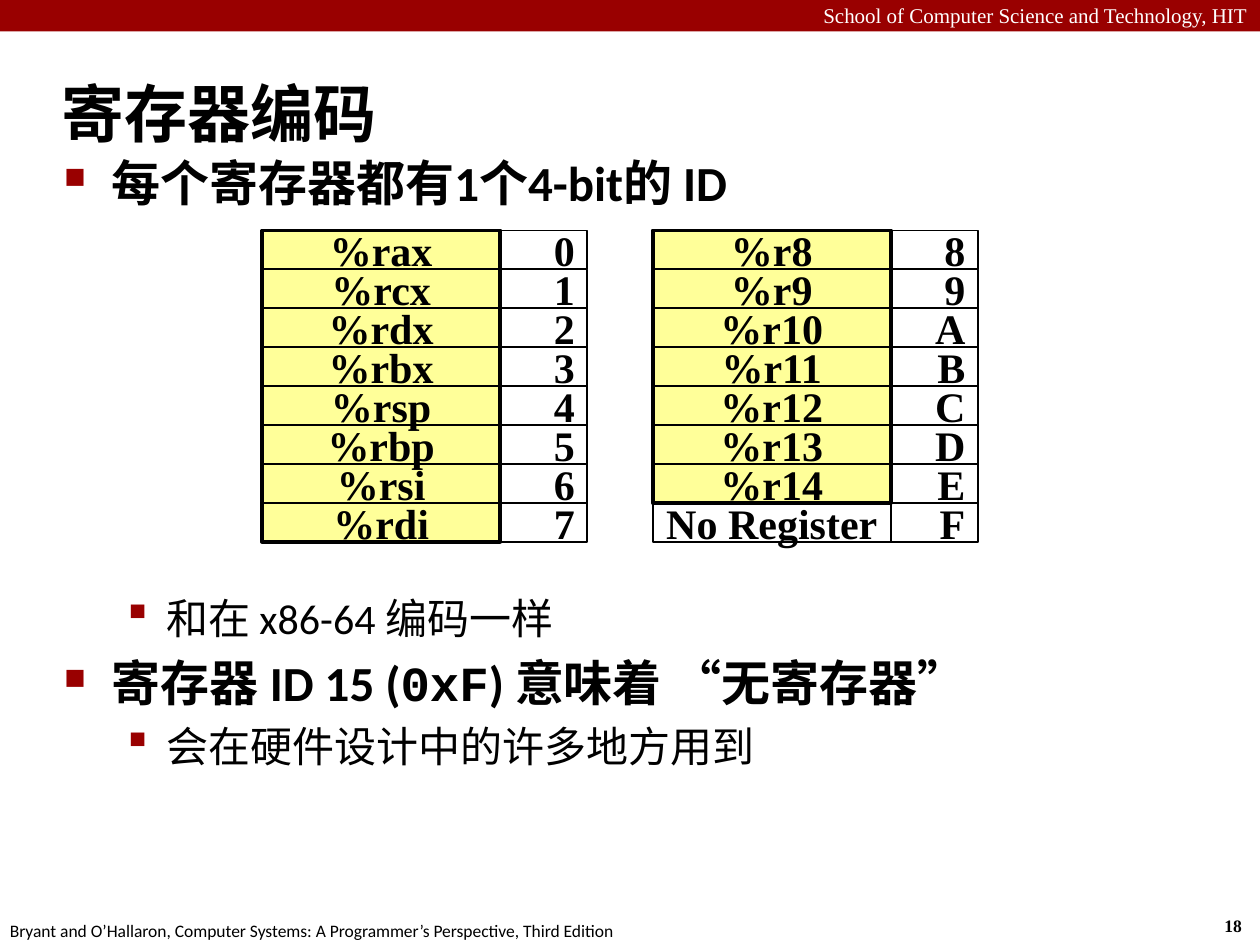
"""Build the slide on register encoding."""
from dataclasses import dataclass

import pptx
import pptx.dml.color
import pptx.enum.shapes
import pptx.enum.text
import pptx.oxml
import pptx.oxml.ns
import pptx.util

Inches = pptx.util.Inches
Pt = pptx.util.Pt
Align = pptx.enum.text.PP_ALIGN
Anchor = pptx.enum.text.MSO_ANCHOR

BLACK = pptx.dml.color.RGBColor(0x00, 0x00, 0x00)
WHITE = pptx.dml.color.RGBColor(0xFF, 0xFF, 0xFF)
CRIMSON = pptx.dml.color.RGBColor(0x99, 0x00, 0x00)
YELLOW = pptx.dml.color.RGBColor(0xFF, 0xFF, 0x99)

SANS, MONO, SERIF = "Calibri", "Courier New", "Times New Roman"
WIDTH, HEIGHT = 10, 7.5
GRID_TOP, ROW_HEIGHT = 1.83, 2.47 / 8
NAME_WIDTH, CODE_WIDTH = 1.89, 0.69


@dataclass(frozen=True)
class Level:
    size: int
    bold: bool
    margin: float
    hanging: float
    mark: str
    mark_share: int


@dataclass(frozen=True)
class Point:
    level: Level
    before: float
    runs: tuple[tuple[str, str], ...]


@dataclass(frozen=True)
class RegisterBank:
    left: float
    names: tuple[str, ...]
    codes: str
    registers: int


@dataclass(frozen=True)
class Label:
    text: str
    box: tuple[float, float, float, float]
    font: dict
    align: Align = Align.LEFT
    wrap: bool = False


MAIN = Level(28, True, 0.38, 0.38, "n", 60)
DETAIL = Level(24, False, 0.81, 0.31, "§", 110)

POINTS = (
    Point(MAIN, 5.6, (("每个寄存器都有1个4-bit的 ID", SANS),)),
    Point(DETAIL, 218, (("和在 x86-64 编码一样", SANS),)),
    Point(MAIN, 5.6, (("寄存器 ID 15 (", SANS), ("0xF", MONO),
                      (") 意味着 “无寄存器”", SANS))),
    Point(DETAIL, 4.8, (("会在硬件设计中的许多地方用到", SANS),)),
)

BANKS = (
    RegisterBank(2.08, ("%rax", "%rcx", "%rdx", "%rbx",
                        "%rsp", "%rbp", "%rsi", "%rdi"), "01234567", 8),
    RegisterBank(5.18, ("%r8", "%r9", "%r10", "%r11",
                        "%r12", "%r13", "%r14", "No Register"), "89ABCDEF", 7),
)

LABELS = (
    Label("School of Computer Science and Technology, HIT", (0, -0.03, WIDTH, 0.3),
          {"name": SERIF, "size": Pt(12), "color": WHITE}, Align.RIGHT, True),
    Label("Bryant and O’Hallaron, Computer Systems: A Programmer’s Perspective, "
          "Third Edition", (-0.02, 7.25, 5.08, 0.27),
          {"name": SANS, "size": Pt(10), "color": BLACK}),
    Label("18", (9.62, 7.21, 0.37, 0.27),
          {"name": SERIF, "size": Pt(10), "bold": True, "color": BLACK}),
)


def apply(target, values: dict) -> None:
    for key, value in values.items():
        if key == "color":
            target.color.rgb = value
        else:
            setattr(target, key, value)


def add_rect(slide, box: tuple, fill=None, line_width: float = 0):
    rect = slide.shapes.add_shape(
        pptx.enum.shapes.MSO_SHAPE.RECTANGLE, *map(Inches, box))
    rect.shadow.inherit = False
    if fill is None:
        rect.fill.background()
    else:
        rect.fill.solid()
        rect.fill.fore_color.rgb = fill
    if line_width:
        apply(rect.line, {"width": Pt(line_width), "color": BLACK})
    else:
        rect.line.fill.background()
    return rect


def write(frame, text: str, font: dict, align: Align, wrap: bool = False) -> None:
    frame.word_wrap = wrap
    paragraph = frame.paragraphs[0]
    paragraph.alignment = align
    run = paragraph.add_run()
    run.text = text
    apply(run.font, font)


def add_label(slide, label: Label) -> None:
    box = slide.shapes.add_textbox(*map(Inches, label.box))
    write(box.text_frame, label.text, label.font, label.align, label.wrap)


def add_cell(slide, text: str, box: tuple, align: Align) -> None:
    cell = add_rect(slide, box, line_width=1)
    cell.text_frame.vertical_anchor = Anchor.MIDDLE
    write(cell.text_frame, text,
          {"name": SERIF, "size": Pt(24), "bold": True, "color": BLACK}, align)


def add_bank(slide, bank: RegisterBank) -> None:
    add_rect(slide, (bank.left, GRID_TOP, NAME_WIDTH, bank.registers * ROW_HEIGHT),
             YELLOW, 2.25)
    for row, (name, code) in enumerate(zip(bank.names, bank.codes)):
        top = GRID_TOP + row * ROW_HEIGHT
        add_cell(slide, name, (bank.left, top, NAME_WIDTH, ROW_HEIGHT), Align.CENTER)
        add_cell(slide, code, (bank.left + NAME_WIDTH, top, CODE_WIDTH, ROW_HEIGHT),
                 Align.RIGHT)


def set_bullet(paragraph, level: Level) -> None:
    properties = paragraph._p.get_or_add_pPr()
    properties.set("marL", str(Inches(level.margin)))
    properties.set("indent", str(-Inches(level.hanging)))
    namespace = pptx.oxml.ns.nsdecls("a")
    for markup in (
        f'<a:buClr {namespace}><a:srgbClr val="{CRIMSON}"/></a:buClr>',
        f'<a:buSzPct {namespace} val="{level.mark_share * 1000}"/>',
        f'<a:buFont {namespace} typeface="Wingdings" charset="2"/>',
        f'<a:buChar {namespace} char="{level.mark}"/>',
    ):
        properties.append(pptx.oxml.parse_xml(markup))


def add_points(slide) -> None:
    frame = slide.shapes.add_textbox(*map(Inches, (0.41, 1.16, 9.08, 5.8))).text_frame
    frame.word_wrap = True
    for index, point in enumerate(POINTS):
        paragraph = frame.add_paragraph() if index else frame.paragraphs[0]
        paragraph.level = 0 if point.level is MAIN else 1
        paragraph.space_before = Pt(point.before)
        set_bullet(paragraph, point.level)
        for text, font_name in point.runs:
            run = paragraph.add_run()
            run.text = text
            apply(run.font, {"name": font_name, "size": Pt(point.level.size),
                             "bold": point.level.bold, "color": BLACK})


def add_title(slide) -> None:
    title = slide.shapes.title
    apply(title, {"left": Inches(0.39), "top": Inches(0.48),
                  "width": Inches(9.61), "height": Inches(0.83)})
    title.text_frame.vertical_anchor = Anchor.MIDDLE
    write(title.text_frame, "寄存器编码",
          {"name": SANS, "size": Pt(36), "bold": True, "color": BLACK},
          Align.LEFT, True)


def main() -> None:
    deck = pptx.Presentation()
    apply(deck, {"slide_width": Inches(WIDTH), "slide_height": Inches(HEIGHT)})
    slide = deck.slides.add_slide(deck.slide_layouts.get_by_name("Title Only"))
    add_rect(slide, (0, 0, WIDTH, HEIGHT / 30), CRIMSON)
    for label in LABELS:
        add_label(slide, label)
    add_title(slide)
    add_points(slide)
    for bank in BANKS:
        add_bank(slide, bank)
    deck.save("out.pptx")


main()
